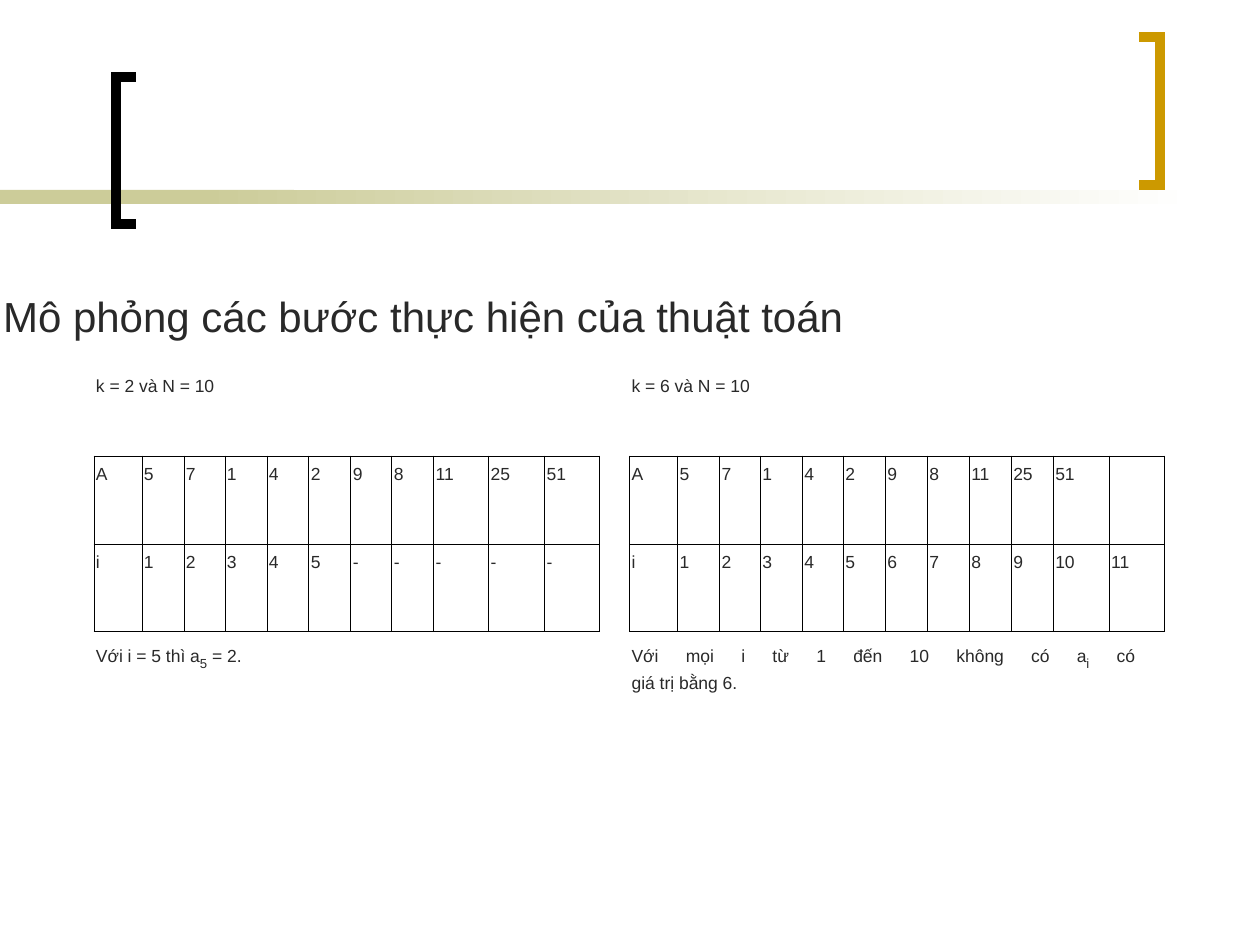
"""Build a slide that traces a linear search in two side-by-side tables."""
from lxml.etree import SubElement
from pptx import Presentation
from pptx.dml.color import RGBColor
from pptx.enum.shapes import MSO_SHAPE
from pptx.enum.text import MSO_ANCHOR, PP_ALIGN
from pptx.oxml import parse_xml
from pptx.oxml.ns import nsdecls, qn
from pptx.util import Pt

PX = 914400 // 126
FONT = "Arial"
BLACK = RGBColor(0x00, 0x00, 0x00)
INK = RGBColor(0x29, 0x29, 0x29)
GOLD = RGBColor(0xCC, 0x99, 0x00)
SAND = RGBColor(0xCC, 0xCC, 0x99)
WHITE = RGBColor(0xFF, 0xFF, 0xFF)

TITLE = "Mô phỏng các bước thực hiện của thuật toán"
NUMBERS = "5 7 1 4 2 9 8 11 25 51".split()
TRACES = [
    {
        "col": 0,
        "widths": [48, 42, 41, 42, 42, 42, 41, 42, 55, 56, 55],
        "case": "k = 2 và N = 10",
        "a": ["A", *NUMBERS],
        "i": ["i", *"12345", *"-----"],
        "result": ("Với i = 5 thì a", "5", " = 2."),
    },
    {
        "col": 12,
        "widths": [48, 42, 41, 42, 41, 42, 42, 42, 42, 42, 56, 55],
        "case": "k = 6 và N = 10",
        "a": ["A", *NUMBERS, ""],
        "i": ["i", *map(str, range(1, 12))],
        "result": ("Với mọi i từ 1 đến 10 không có a", "i", " có \vgiá trị bằng 6."),
    },
]
GAP = 30
ROWS = [88, 88, 88, 176]
TABLE_LEFT, TABLE_TOP = 94, 368
BRACKETS = [
    ([(136, 224), (116, 224), (116, 77), (136, 77)], BLACK),
    ([(1139, 37), (1160, 37), (1160, 185), (1139, 185)], GOLD),
]
NO_GRID_STYLE = "{2D5ABB26-0587-4C30-8999-92F81FD0307C}"


def style_run(r, size):
    r.font.name, r.font.size = FONT, Pt(size)
    r.font.color.rgb = INK


def add_bar(shapes, left, width):
    sp = shapes.add_shape(MSO_SHAPE.RECTANGLE, left * PX, 190 * PX, width * PX, 14 * PX)
    sp.shadow.inherit = False
    sp.line.fill.background()
    return sp.fill


def add_bracket(shapes, points, color):
    builder = shapes.build_freeform(*points[0], scale=PX)
    builder.add_line_segments(points[1:], close=False)
    sp = builder.convert_to_shape()
    sp.shadow.inherit = False
    sp.fill.background()
    sp.line.color.rgb, sp.line.width = color, Pt(6)
    SubElement(sp.line._get_or_add_ln(), qn("a:miter"), lim="800000")


def fill_cell(cell, text, subscript="", tail=""):
    p = cell.text_frame.paragraphs[0]
    p.text = text
    p.alignment, p.line_spacing, p.space_after = PP_ALIGN.JUSTIFY, 1.15, Pt(2)
    for r in p.runs:
        style_run(r, 10)
    if subscript:
        r = p.add_run()
        r.text = subscript
        style_run(r, 13)
        r.font._element.set("baseline", "-25000")
        for n, line in enumerate(tail.split("\v")):
            if n:
                p.add_line_break()
            r = p.add_run()
            r.text = line
            style_run(r, 10)


def set_borders(cell, sides):
    tc_pr = cell._tc.get_or_add_tcPr()
    for n, side in enumerate(sides):
        tc_pr.insert(n, parse_xml(
            f'<a:ln{side} {nsdecls("a")} w="5715"><a:solidFill>'
            f'<a:srgbClr val="{BLACK}"/></a:solidFill></a:ln{side}>'))


def add_traces(shapes):
    left, right = TRACES
    widths = left["widths"] + [GAP] + right["widths"]
    frame = shapes.add_table(len(ROWS), len(widths), TABLE_LEFT * PX, TABLE_TOP * PX,
                             sum(widths) * PX, sum(ROWS) * PX)
    table = frame.table
    table.first_row = table.horz_banding = False
    table._tbl.tblPr.find(qn("a:tableStyleId")).text = NO_GRID_STYLE
    for column, width in zip(table.columns, widths):
        column.width = width * PX
    for row, height in zip(table.rows, ROWS):
        row.height = height * PX
    for cell in table.iter_cells():
        cell.fill.background()
        cell.margin_left = cell.margin_right = 2 * PX
        cell.margin_top = cell.margin_bottom = 6 * PX
    for trace in TRACES:
        first = trace["col"]
        last = first + len(trace["widths"]) - 1
        for row, parts in ((0, (trace["case"],)), (3, trace["result"])):
            table.cell(row, first).merge(table.cell(row, last))
            fill_cell(table.cell(row, first), *parts)
        for row, values in ((1, trace["a"]), (2, trace["i"])):
            for col, value in enumerate(values, first):
                fill_cell(table.cell(row, col), value)
                set_borders(table.cell(row, col), "LRTB")
        for col in range(first, last + 1):
            set_borders(table.cell(0, col), "B")
            set_borders(table.cell(3, col), "T")
    for row in (1, 2):
        set_borders(table.cell(row, len(left["widths"])), "LR")


def add_title(title):
    title.left, title.top, title.width, title.height = (
        v * PX for v in (-21, 284, 1155, 64))
    tf = title.text_frame
    tf.text = TITLE
    tf.word_wrap, tf.vertical_anchor = True, MSO_ANCHOR.MIDDLE
    tf.margin_left = 24 * PX
    p = tf.paragraphs[0]
    p.alignment = PP_ALIGN.JUSTIFY
    style_run(p.runs[0], 24)


def main():
    prs = Presentation()
    prs.slide_width, prs.slide_height = 1260 * PX, 945 * PX
    s = prs.slides.add_slide(prs.slide_layouts[5])
    fill = add_bar(s.shapes, 0, 294)
    fill.solid()
    fill.fore_color.rgb = SAND
    fill = add_bar(s.shapes, 199, 998)
    fill.gradient()
    fill.gradient_angle = 0
    for stop, color, position in zip(fill.gradient_stops, (SAND, WHITE), (0, 1)):
        stop.color.rgb, stop.position = color, position
    for points, color in BRACKETS:
        add_bracket(s.shapes, points, color)
    add_traces(s.shapes)
    add_title(s.shapes.title)
    prs.save("out.pptx")


if __name__ == "__main__":
    main()
